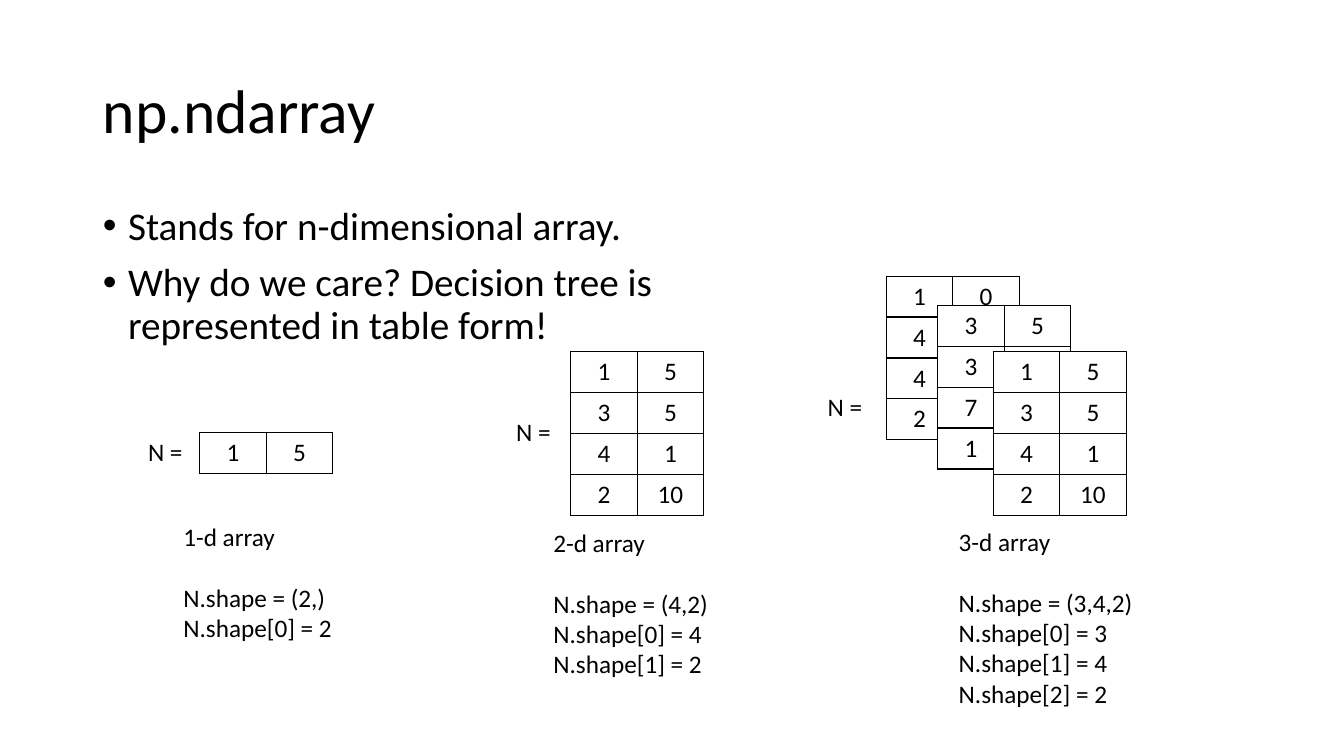
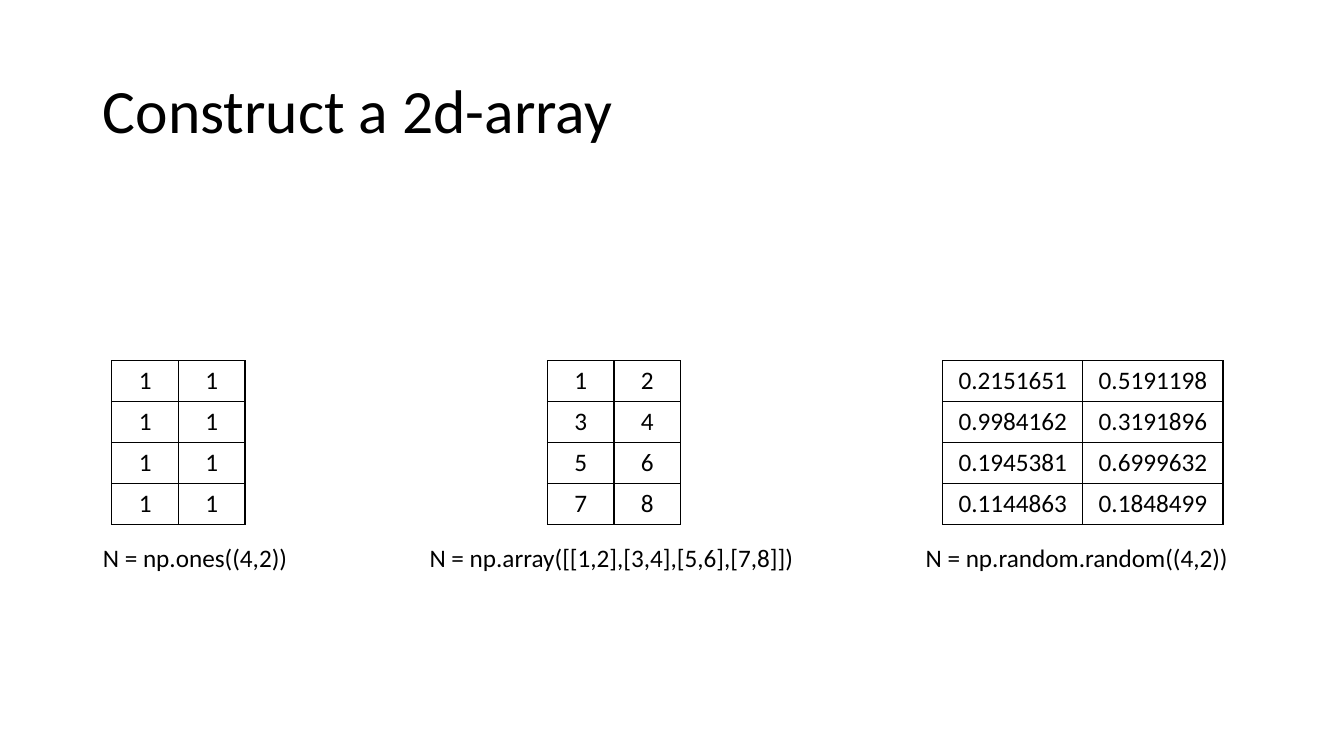
from dataclasses import dataclass

from lxml import etree
from pptx import Presentation
from pptx.dml.color import RGBColor
from pptx.enum.text import MSO_ANCHOR, MSO_AUTO_SIZE, PP_ALIGN
from pptx.oxml.ns import qn
from pptx.util import Inches, Pt

LEFT, CENTER = PP_ALIGN.LEFT, PP_ALIGN.CENTER
TOP, MIDDLE = MSO_ANCHOR.TOP, MSO_ANCHOR.MIDDLE
NO_FIT, GROW = MSO_AUTO_SIZE.NONE, MSO_AUTO_SIZE.SHAPE_TO_FIT_TEXT

COLORS = {"ink": "000000", "paper": "FFFFFF"}
FONT = "Calibri"
TITLE_SIZE, LIST_SIZE, TEXT_SIZE = 44, 28, 18
TITLE_AREA = (0.92, 0.4, 11.5, 1.45)
LIST_AREA = (0.92, 2, 6.05, 4.76)
LIST_INDENT = 0.25
ROW_HEIGHT, COLUMN_WIDTH = 0.4, 0.66
BORDER_WIDTH = 1
BLANK_LINE = 22
LIST_LAYOUT, COMPARISON_LAYOUT = 1, 4


@dataclass(frozen=True)
class Matrix:
    """A grid of values with its top left corner in inches."""
    left: float
    top: float
    rows: tuple
    column_width: float = COLUMN_WIDTH
    filled: bool = False


@dataclass(frozen=True)
class Label:
    """Lines of text in an area, the first one a heading if several."""
    area: tuple
    lines: tuple


@dataclass(frozen=True)
class Caption:
    """A line of code in a body placeholder."""
    area: tuple
    text: str
    line_spacing: float = 0.9


PAIRS = ((1, 5), (3, 5), (4, 1), (2, 10))

SHAPE_MATRICES = (
    Matrix(5.66, 3.49, PAIRS),
    Matrix(8.79, 2.74, ((1, 0), (4, 5), (4, 1), (2, 10))),
    Matrix(9.3, 3.03, ((3, 5), (3, 5), (7, 1), (1, 10)), filled=True),
    Matrix(9.85, 3.49, PAIRS, filled=True),
    Matrix(1.98, 4.29, PAIRS[:1]),
)
SHAPE_LABELS = (
    Label((1.72, 5.12, 1.69, 1.31),
          ("1-d array", "N.shape = (2,)", "N.shape[0] = 2")),
    Label((5.39, 5.18, 1.76, 1.62),
          ("2-d array", "N.shape = (4,2)", "N.shape[0] = 4",
           "N.shape[1] = 2")),
    Label((9.41, 5.17, 1.95, 1.92),
          ("3-d array", "N.shape = (3,4,2)", "N.shape[0] = 3",
           "N.shape[1] = 4", "N.shape[2] = 2")),
    Label((1.37, 4.28, 0.61, 0.4), ("N = ",)),
    Label((5.02, 4.08, 0.61, 0.4), ("N = ",)),
    Label((8.11, 3.83, 0.61, 0.4), ("N = ",)),
)
CONSTRUCTED_MATRICES = (
    Matrix(5.43, 3.58, ((1, 2), (3, 4), (5, 6), (7, 8))),
    Matrix(9.35, 3.58, (("0.2151651", "0.5191198"),
                        ("0.9984162", "0.3191896"),
                        ("0.1945381", "0.6999632"),
                        ("0.1144863", "0.1848499")), 1.39),
    Matrix(1.11, 3.58, ((1, 1),) * 4),
)
CAPTIONS = (
    Caption((4.16, 5.36, 4.14, 0.39), "N = np.array([[1,2],[3,4],[5,6],[7,8]])"),
    Caption((9.08, 5.36, 3.22, 0.42), "N = np.random.random((4,2))"),
    Caption((0.92, 5.39, 2.26, 0.36), "N = np.ones((4,2))", 0.8),
)


def style_paragraph(para, size: float, alignment=LEFT) -> None:
    """Set the alignment of a paragraph and the font of its runs."""
    para.alignment = alignment
    for span in para.runs:
        span.font.name = FONT
        span.font.size = Pt(size)
        span.font.bold = False
        span.font.color.rgb = RGBColor.from_string(COLORS["ink"])


def set_bullet(para, bullet: str, indent: float) -> None:
    """Give a paragraph a hanging bullet, or none for an empty string."""
    properties = para._p.get_or_add_pPr()
    properties.set("marL", str(Inches(indent)))
    properties.set("indent", str(-Inches(indent)))
    if bullet:
        etree.SubElement(properties, qn("a:buChar"), char=bullet)
    else:
        etree.SubElement(properties, qn("a:buNone"))


def fill_placeholder(box, area: tuple, text: str, size: float, anchor=TOP,
                     line_spacing: float = 0.9, space_before: float = 0) -> None:
    """Move a placeholder and write formatted text into it."""
    box.left, box.top, box.width, box.height = map(Inches, area)
    frame = box.text_frame
    frame.text = text
    frame.word_wrap = True
    frame.auto_size = NO_FIT
    frame.vertical_anchor = anchor
    for para in frame.paragraphs:
        style_paragraph(para, size)
        para.line_spacing = line_spacing
        para.space_before = Pt(space_before)


def add_page(deck, layout: int, title: str):
    """Add a page with the shared title style."""
    page = deck.slides.add_slide(deck.slide_layouts[layout])
    fill_placeholder(page.shapes.title, TITLE_AREA, title, TITLE_SIZE, MIDDLE)
    return page


def add_borders(cell) -> None:
    """Draw a thin line on every side of a cell."""
    properties = cell._tc.get_or_add_tcPr()
    for position, side in enumerate(("lnL", "lnR", "lnT", "lnB")):
        line = etree.Element(qn(f"a:{side}"), w=str(Pt(BORDER_WIDTH)))
        fill = etree.SubElement(line, qn("a:solidFill"))
        etree.SubElement(fill, qn("a:srgbClr"), val=COLORS["ink"])
        properties.insert(position, line)


def add_matrix(page, matrix: Matrix) -> None:
    """Draw a matrix as a bordered table."""
    row_count, column_count = len(matrix.rows), len(matrix.rows[0])
    table = page.shapes.add_table(
        row_count, column_count, Inches(matrix.left), Inches(matrix.top),
        Inches(matrix.column_width * column_count),
        Inches(ROW_HEIGHT * row_count)).table
    table.first_row = table.horz_banding = False
    for column in table.columns:
        column.width = Inches(matrix.column_width)
    for row_index, values in enumerate(matrix.rows):
        for column_index, value in enumerate(values):
            cell = table.cell(row_index, column_index)
            cell.text_frame.text = str(value)
            style_paragraph(cell.text_frame.paragraphs[0], TEXT_SIZE, CENTER)
            if matrix.filled:
                cell.fill.solid()
                cell.fill.fore_color.rgb = RGBColor.from_string(COLORS["paper"])
            else:
                cell.fill.background()
            add_borders(cell)


def add_label(page, label: Label) -> None:
    """Draw a text box with a gap of one line below its heading."""
    frame = page.shapes.add_textbox(*map(Inches, label.area)).text_frame
    frame.text = "\n".join(label.lines)
    frame.word_wrap = False
    frame.auto_size = GROW
    for para in frame.paragraphs:
        style_paragraph(para, TEXT_SIZE)
    if len(label.lines) > 1:
        frame.paragraphs[1].space_before = Pt(BLANK_LINE)


def build_shape_page(deck) -> None:
    """Build the page on the shapes of arrays."""
    page = add_page(deck, LIST_LAYOUT, "np.ndarray")
    body = page.placeholders[1]
    points = ("Stands for n-dimensional array.",
              "Why do we care? Decision tree is represented in table form!")
    fill_placeholder(body, LIST_AREA, "\n".join(points), LIST_SIZE,
                     space_before=10)
    for para in body.text_frame.paragraphs:
        set_bullet(para, "\u2022", LIST_INDENT)
    for matrix in SHAPE_MATRICES:
        add_matrix(page, matrix)
    for label in SHAPE_LABELS:
        add_label(page, label)


def build_construction_page(deck) -> None:
    """Build the page on ways to construct an array."""
    page = add_page(deck, COMPARISON_LAYOUT, "Construct a 2d-array")
    bodies = [box for box in page.placeholders
              if box.placeholder_format.idx in (1, 2, 3)]
    for body, caption in zip(bodies, CAPTIONS):
        fill_placeholder(body, caption.area, caption.text, TEXT_SIZE,
                         line_spacing=caption.line_spacing, space_before=10)
        set_bullet(body.text_frame.paragraphs[0], "", 0)
    unused = page.placeholders[4]._element
    unused.getparent().remove(unused)
    for matrix in CONSTRUCTED_MATRICES:
        add_matrix(page, matrix)


def main() -> None:
    """Build the deck and save it."""
    deck = Presentation()
    deck.slide_width, deck.slide_height = Inches(13.33), Inches(7.5)
    build_shape_page(deck)
    build_construction_page(deck)
    deck.save("out.pptx")


main()
